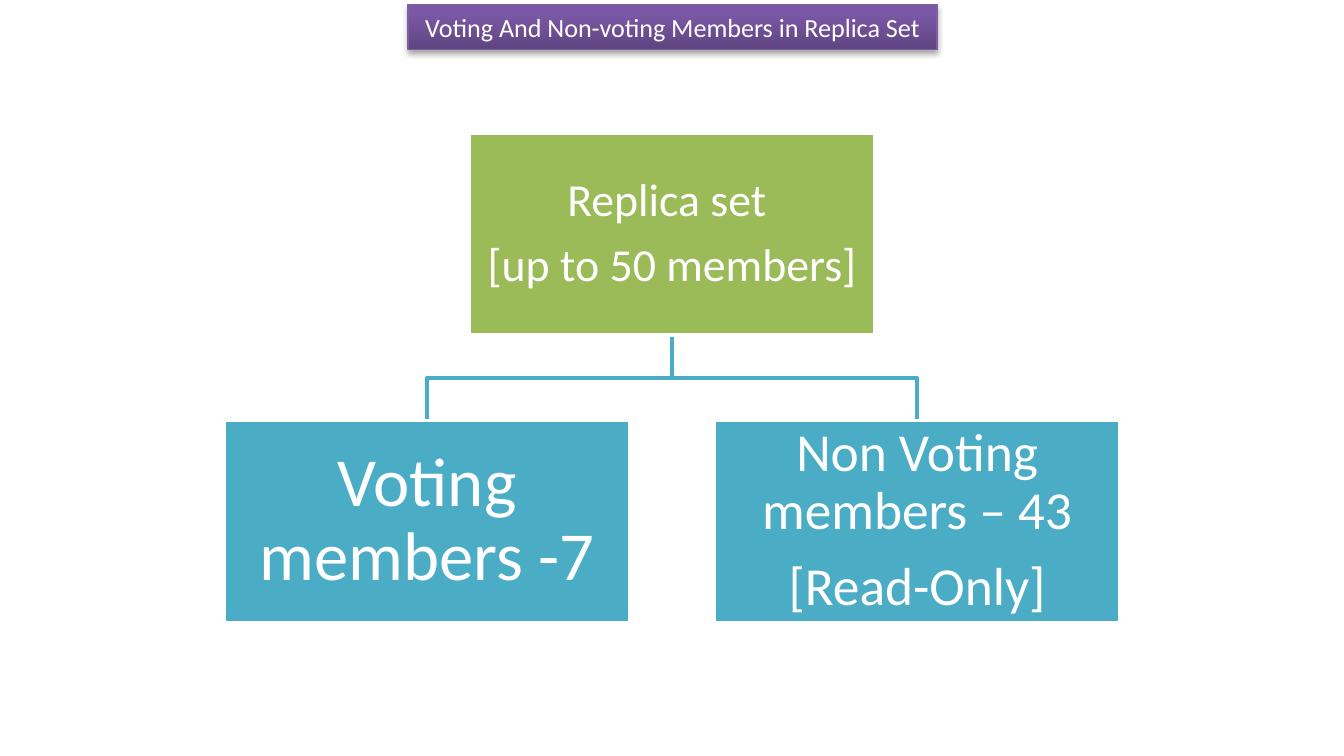
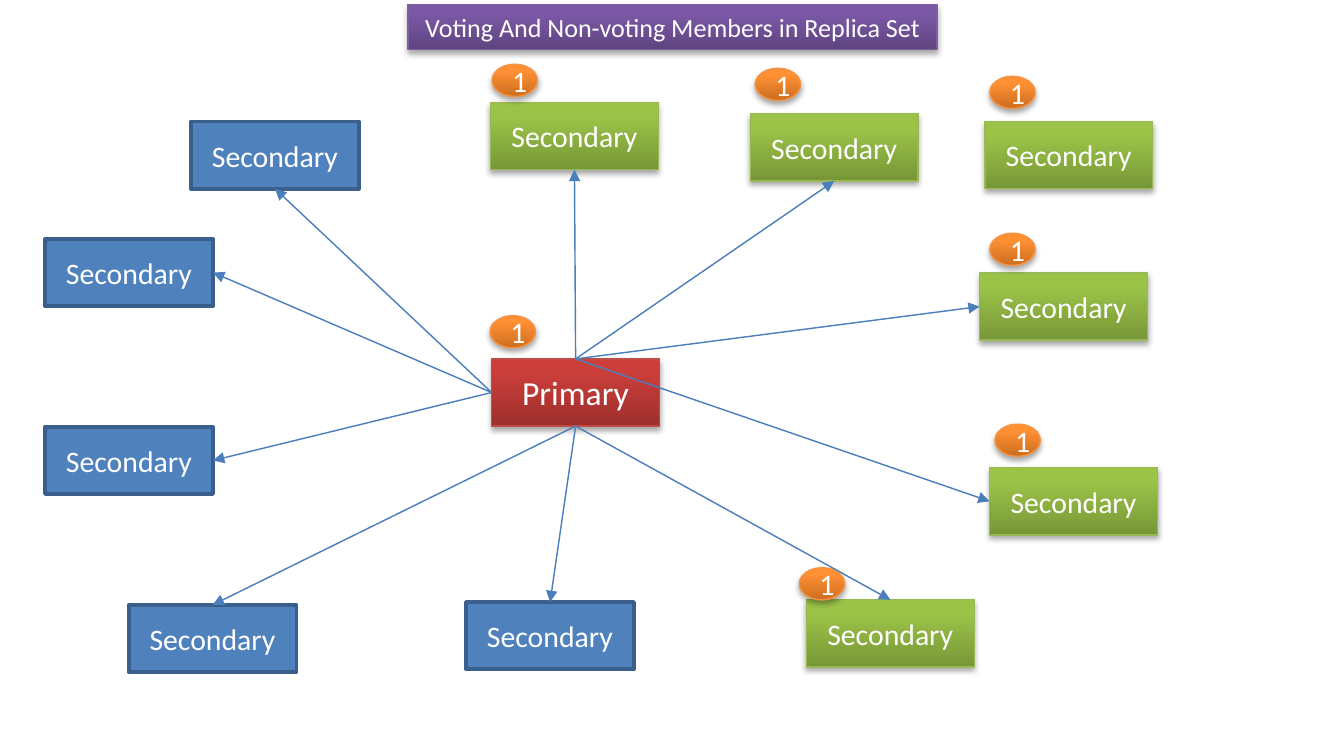
from lxml import etree
from pptx import Presentation
from pptx import util as u
from pptx.dml.color import RGBColor
from pptx.enum import shapes, text
from pptx.oxml.ns import qn

Pt = u.Pt
FONT = "Calibri"
TITLE = "Voting And Non-voting Members in Replica Set"
WIDTH, HEIGHT = 704.16, 396
TOP, LEFT, BOTTOM, RIGHT = range(4)

COLORS = {
    "white": "FFFFFF", "shadow": "000000", "arrow": "4B7EBC",
    "purple": "7B58A6", "purple_dark": "5F4480", "purple_line": "7D60A0",
    "red": "CB3E3A", "red_dark": "9C2F2D", "red_line": "BF4C48",
    "green": "9BC348", "green_dark": "779737", "green_line": "98B955",
    "orange": "FF9034", "orange_dark": "CC6E20", "orange_line": "F69240",
    "blue": "4F81BD", "blue_line": "3A5F8C",
    "olive": "9BBB59", "olive_line": "FFFFFF",
    "teal": "4BACC6", "teal_line": "FFFFFF",
}


def rgb(name):
    return RGBColor.from_string(COLORS[name])


def write(tf, lines, size, color="white", anchor=text.MSO_ANCHOR.MIDDLE,
          wrap=True, inset=None, spacing=None, after=None):
    tf.auto_size = text.MSO_AUTO_SIZE.NONE
    tf.word_wrap = wrap
    tf.vertical_anchor = anchor
    if inset is not None:
        tf.margin_left = tf.margin_right = Pt(inset)
        tf.margin_top = tf.margin_bottom = Pt(inset)
    for i, line in enumerate(lines.split("\n")):
        p = tf.paragraphs[0] if i == 0 else tf.add_paragraph()
        p.alignment = text.PP_ALIGN.CENTER
        if spacing:
            p.line_spacing = spacing
        if after:
            p.space_after = Pt(after)
        r = p.add_run()
        r.text = line
        r.font.name = FONT
        r.font.size = Pt(size)
        r.font.color.rgb = rgb(color)


class Deck:
    def __init__(self):
        self.prs = Presentation()
        self.prs.slide_width, self.prs.slide_height = Pt(WIDTH), Pt(HEIGHT)
        self.s = None

    def slide(self, title):
        self.s = self.prs.slides.add_slide(self.prs.slide_layouts[5])
        sp = self.s.shapes.title
        sp.left, sp.top, sp.width, sp.height = map(Pt, (213.8, 2.2, 277.2, 23.9))
        self.paint(sp, "purple")
        write(sp.text_frame, title, 13.7, anchor=text.MSO_ANCHOR.TOP,
              wrap=False)
        tf = sp.text_frame
        tf.margin_left = tf.margin_right = Pt(7.2)
        tf.margin_top = tf.margin_bottom = Pt(3.6)

    def paint(self, sp, name):
        glossy = name + "_dark" in COLORS
        if glossy:
            sp.fill.gradient()
            sp.fill.gradient_angle = 90
            dark, light = sp.fill.gradient_stops
            dark.color.rgb, dark.position = rgb(name + "_dark"), 0
            light.color.rgb, light.position = rgb(name), 0.8
        else:
            sp.fill.solid()
            sp.fill.fore_color.rgb = rgb(name)
        sp.line.color.rgb = rgb(name + "_line")
        sp.line.width = Pt(0.75 if glossy else 2)
        sp.shadow.inherit = False
        if glossy:
            self.cast_shadow(sp)

    def cast_shadow(self, sp):
        effects = sp._element.spPr.find(qn("a:effectLst"))
        shadow = etree.SubElement(
            effects, qn("a:outerShdw"), blurRad=str(Pt(3.1)),
            dist=str(Pt(1.8)), dir="5400000", rotWithShape="0")
        color = etree.SubElement(shadow, qn("a:srgbClr"), val=COLORS["shadow"])
        etree.SubElement(color, qn("a:alpha"), val="35000")

    def shape(self, kind, box, name, label, size, **fmt):
        sp = self.s.shapes.add_shape(kind, *map(Pt, box))
        self.paint(sp, name)
        write(sp.text_frame, label, size, **fmt)
        return sp

    def org_box(self, box, name, label, size):
        return self.shape(shapes.MSO_SHAPE.RECTANGLE, box, name, label, size,
                          inset=size * 0.06, spacing=0.9, after=size * 0.35)

    def node(self, x, y, name, label="Secondary", size=15.6):
        return self.shape(shapes.MSO_SHAPE.RECTANGLE, (x, y, 88, 35.2),
                          name, label, size)

    def badge(self, x, y):
        return self.shape(shapes.MSO_SHAPE.OVAL, (x, y, 23.8, 16.8),
                          "orange", "1", 15.6)

    def branch(self, x1, y1, x2, y2):
        mid = (y1 + y2) / 2
        fb = self.s.shapes.build_freeform(Pt(x1), Pt(y1))
        fb.add_line_segments([(Pt(x), Pt(y)) for x, y in
                              ((x1, mid), (x2, mid), (x2, y2))], close=False)
        sp = fb.convert_to_shape()
        sp.fill.background()
        sp.line.color.rgb = rgb("teal")
        sp.line.width = Pt(2)
        sp.shadow.inherit = False

    def arrow(self, start, start_side, end, end_side):
        c = self.s.shapes.add_connector(shapes.MSO_CONNECTOR.STRAIGHT, 0, 0, 0, 0)
        c.begin_connect(start, start_side)
        c.end_connect(end, end_side)
        c.line.color.rgb = rgb("arrow")
        c.line.width = Pt(0.75)
        spPr = c._element.spPr
        etree.SubElement(spPr.find(qn("a:ln")), qn("a:tailEnd"), type="triangle")
        etree.SubElement(spPr, qn("a:effectLst"))


def member_chart(deck):
    deck.slide(TITLE)
    w, h = 212.4, 105.8
    center, offset = WIDTH / 2, 128.4
    root_top, child_top = 69.9, 220.3
    children = (
        (center + offset, "Non Voting members – 43\n[Read-Only]", 28),
        (center - offset, "Voting members -7", 36),
    )
    for x, _, _ in children:
        deck.branch(center, root_top + h, x, child_top)
    deck.org_box((center - w / 2, root_top, w, h), "olive",
                 "Replica set \n[up to 50 members]", 24)
    for x, label, size in reversed(children):
        deck.org_box((x - w / 2, child_top, w, h), "teal", label, size)


def member_map(deck):
    deck.slide(TITLE)
    primary = deck.node(257.6, 188, "red", "Primary", 17.6)
    secondaries = (
        (257, 53.7, "green", TOP, BOTTOM),
        (393.1, 59.6, "green", TOP, BOTTOM),
        (513.3, 143, "green", TOP, LEFT),
        (518.5, 245, "green", TOP, LEFT),
        (422.5, 314.2, "green", BOTTOM, TOP),
        (244.2, 315.4, "blue", BOTTOM, TOP),
        (67.4, 316.9, "blue", BOTTOM, TOP),
        (23.6, 223.6, "blue", LEFT, RIGHT),
        (23.6, 125.2, "blue", LEFT, RIGHT),
        (100.1, 63.7, "blue", LEFT, BOTTOM),
    )
    nodes = [deck.node(x, y, name) for x, y, name, _, _ in secondaries]
    deck.node(516, 63.6, "green")
    for node, (_, _, _, start, end) in zip(nodes, secondaries):
        deck.arrow(primary, start, node, end)
    for x, y in ((256.8, 165.4), (418.8, 297.4), (521.3, 222.2),
                 (518.6, 122.2), (518.6, 40), (395.7, 35.8), (257.8, 33.7)):
        deck.badge(x, y)


def main():
    deck = Deck()
    member_chart(deck)
    member_map(deck)
    deck.prs.save("out.pptx")


if __name__ == "__main__":
    main()
